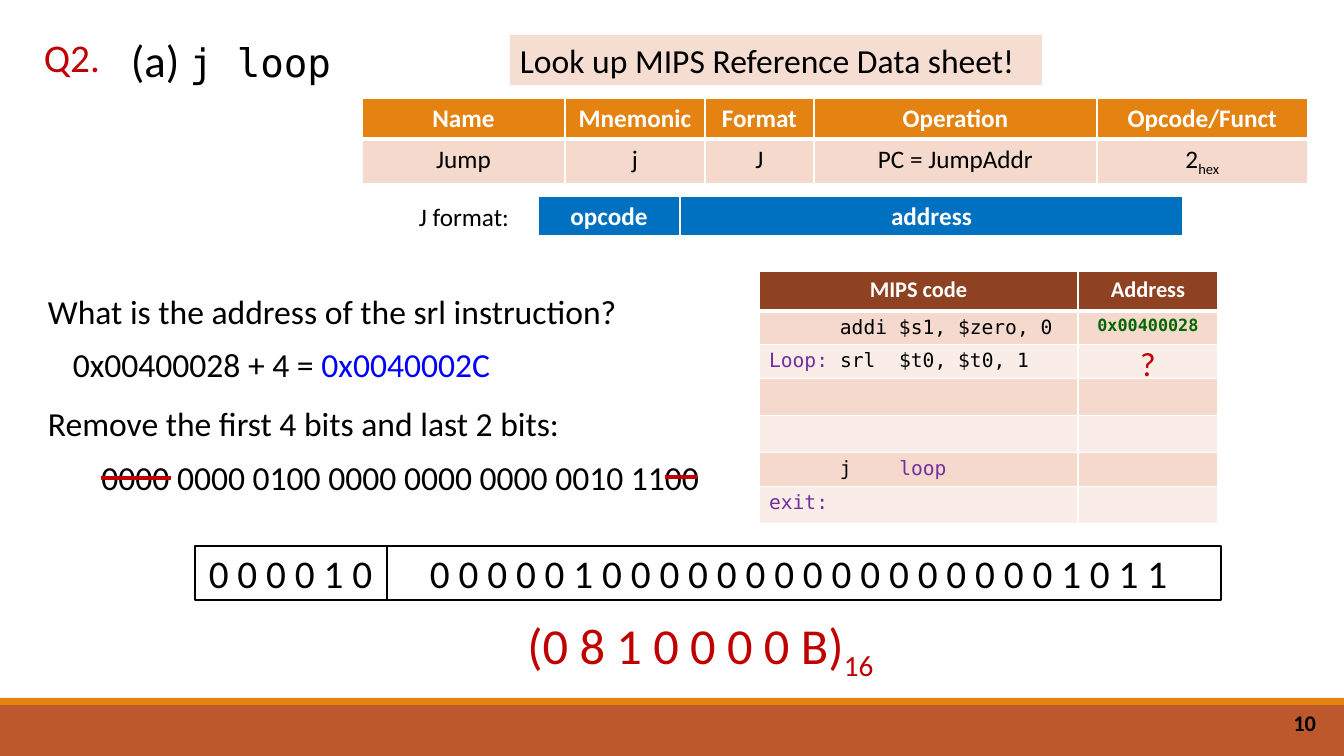
import dataclasses

import lxml.etree
import pptx
import pptx.dml.color
import pptx.enum.shapes
import pptx.enum.text
import pptx.oxml.ns
import pptx.util

EMU_PER_PX = 914400 / 100.8
ALIGN = pptx.enum.text.PP_ALIGN
ANCHOR = pptx.enum.text.MSO_ANCHOR


@dataclasses.dataclass(frozen=True)
class Theme:
    sans: str = "Calibri"
    mono: str = "DejaVu Sans Mono"
    black: str = "000000"
    white: str = "FFFFFF"
    red: str = "C00000"
    blue: str = "0000FF"
    green: str = "006600"
    purple: str = "7030A0"
    orange: str = "E48312"
    rust: str = "BD582C"
    brown: str = "8E4221"
    format_blue: str = "0070C0"
    note: str = "F5DDD2"
    band_dark: str = "F5D9CC"
    band_light: str = "FAEDE7"
    tiny: int = 12
    code: int = 14
    small: int = 16
    table: int = 18
    body: int = 24
    heading: int = 28
    label: int = 32
    answer: int = 36


THEME = Theme()


def px(length):
    return pptx.util.Emu(round(length * EMU_PER_PX))


def rgb(value):
    return pptx.dml.color.RGBColor.from_string(value)


def span(text, size=THEME.body, color=THEME.black, font=THEME.sans, bold=False, subscript=False):
    return text, size, color, font, bold, subscript


def code(text, color=THEME.black):
    return span(text, THEME.code, color, THEME.mono)


def write(text_frame, spans, align=ALIGN.LEFT):
    paragraph = text_frame.paragraphs[0]
    paragraph.alignment = align
    for text, size, color, font, bold, subscript in spans:
        run = paragraph.add_run()
        run.text = text
        run.font.size = pptx.util.Pt(size)
        run.font.color.rgb = rgb(color)
        run.font.name = font
        run.font.bold = bold
        if subscript:
            run._r.get_or_add_rPr().set("baseline", "-25000")


def add_text(slide, box, spans, align=ALIGN.LEFT, anchor=ANCHOR.TOP):
    shape = slide.shapes.add_textbox(*map(px, box))
    shape.text_frame.word_wrap = True
    shape.text_frame.vertical_anchor = anchor
    write(shape.text_frame, spans, align)


def add_box(slide, box, fill=None, line=None):
    shape = slide.shapes.add_shape(pptx.enum.shapes.MSO_SHAPE.RECTANGLE, *map(px, box))
    shape.shadow.inherit = False
    if fill:
        shape.fill.solid()
        shape.fill.fore_color.rgb = rgb(fill)
    else:
        shape.fill.background()
    if line:
        shape.line.color.rgb = rgb(line)
        shape.line.width = pptx.util.Pt(1.25)
    else:
        shape.line.fill.background()


def add_strike(slide, left, top, width):
    line = slide.shapes.add_connector(
        pptx.enum.shapes.MSO_CONNECTOR.STRAIGHT, px(left), px(top), px(left + width), px(top))
    line.line.color.rgb = rgb(THEME.red)
    line.line.width = pptx.util.Pt(2.25)
    lxml.etree.SubElement(line._element.spPr, pptx.oxml.ns.qn("a:effectLst"))


def add_borders(cell, row):
    properties = cell._tc.get_or_add_tcPr()
    widths = {"lnL": 1, "lnR": 1, "lnT": 3 if row == 1 else 1, "lnB": 3 if row == 0 else 1}
    for side, width in widths.items():
        border = lxml.etree.SubElement(
            properties, pptx.oxml.ns.qn("a:" + side), w=str(pptx.util.Pt(width)))
        fill = lxml.etree.SubElement(border, pptx.oxml.ns.qn("a:solidFill"))
        lxml.etree.SubElement(fill, pptx.oxml.ns.qn("a:srgbClr"), val=THEME.white)


def add_grid(slide, left, top, columns, heights, header_fill, rows, code_column=None):
    box = (left, top, sum(columns), sum(heights))
    table = slide.shapes.add_table(len(heights), len(columns), *map(px, box)).table
    for column, width in zip(table.columns, columns):
        column.width = px(width)
    for row, height in zip(table.rows, heights):
        row.height = px(height)
    for row, cells in enumerate(rows):
        for column, spans in enumerate(cells):
            cell = table.cell(row, column)
            add_borders(cell, row)
            band = THEME.band_dark if row % 2 else THEME.band_light
            cell.fill.solid()
            cell.fill.fore_color.rgb = rgb(band if row else header_fill)
            is_code = row > 0 and column == code_column
            write(cell.text_frame, spans, ALIGN.LEFT if is_code else ALIGN.CENTER)
            if not spans:
                lxml.etree.SubElement(
                    cell.text_frame.paragraphs[0]._p, pptx.oxml.ns.qn("a:endParaRPr"),
                    sz=str(THEME.tiny * 100))


def header(titles, size=THEME.table):
    return [[span(title, size, THEME.white, bold=True)] for title in titles]


def add_footer(slide, left, top, width, height):
    add_box(slide, (left, top + 7, width, height - 7), THEME.rust)
    add_box(slide, (left, top, width, 7), THEME.orange)
    add_text(slide, (left + width - 320, top + 5, 302, 40),
             [span("10", THEME.small, bold=True)], ALIGN.RIGHT, ANCHOR.MIDDLE)


def add_question(slide, left, top):
    add_text(slide, (left, top, 100, 57),
             [span("Q2.", THEME.heading, THEME.red)], ALIGN.CENTER)
    add_text(slide, (left + 99, top, 449, 65),
             [span("(a) ", THEME.label), span("j loop", THEME.heading, font=THEME.mono)])


def add_reference(slide, left, top):
    note = (left + 148, top, 532, 50)
    add_box(slide, note, THEME.note)
    add_text(slide, note, [span("Look up MIPS Reference Data sheet!")])
    values = [[span(text, THEME.table)] for text in ("Jump", "j", "J", "PC = JumpAddr", "2")]
    values[-1].append(span("hex", THEME.table, subscript=True))
    titles = ("Name", "Mnemonic", "Format", "Operation", "Opcode/Funct")
    add_grid(slide, left, top + 63, (203, 140, 109, 283, 211), (41, 45),
             THEME.orange, [header(titles), values])
    add_text(slide, (left + 47, top + 161, 129, 40), [span("J format:", THEME.table)])
    add_grid(slide, left + 176, top + 161, (142, 503), (41,),
             THEME.format_blue, [header(("opcode", "address"))])


def add_working(slide, left, top):
    add_text(slide, (left, top, 599, 50), [span("What is the address of the srl instruction?")])
    add_text(slide, (left, top + 53, 487, 50),
             [span("0x00400028 + 4 = "), span("0x0040002C", color=THEME.blue)], ALIGN.CENTER)
    add_text(slide, (left, top + 112, 643, 50), [span("Remove the first 4 bits and last 2 bits:")])
    add_text(slide, (left + 33, top + 166, 659, 50),
             [span("0000 0000 0100 0000 0000 0000 0010 1100")], ALIGN.CENTER)
    add_strike(slide, left + 63, top + 192, 70)
    add_strike(slide, left + 627, top + 191, 32)


def add_program(slide, left, top):
    rows = [
        header(("MIPS code", "Address"), THEME.small),
        [[code("      addi $s1, $zero, 0")],
         [span("0x00400028", THEME.tiny, THEME.green, THEME.mono, True)]],
        [[code("Loop: ", THEME.purple), code("srl  $t0, $t0, 1")], []],
        [[], []],
        [[], []],
        [[code("      j    "), code("loop", THEME.purple)], []],
        [[code("exit:", THEME.purple)], []],
    ]
    add_grid(slide, left, top, (319, 140), (40, 33, 34, 37, 37, 33, 37),
             THEME.brown, rows, code_column=0)
    add_text(slide, (left + 359, top + 67, 60, 50),
             [span("?", color=THEME.red)], ALIGN.CENTER)


def add_encoding(slide, left, top):
    fields = (
        (0, 192, -1, 193, "0 0 0 0 1 0"),
        (192, 834, 198, 811, "0 0 0 0 0 1 0 0 0 0 0 0 0 0 0 0 0 0 0 0 0 0 1 0 1 1"),
    )
    for offset, width, text_offset, text_width, bits in fields:
        add_box(slide, (left + offset, top, width, 54), line=THEME.black)
        add_text(slide, (left + text_offset, top - 2, text_width, 57),
                 [span(bits, THEME.heading)], ALIGN.CENTER)
    add_text(slide, (left + 272, top + 63, 467, 72),
             [span("(0 8 1 0 0 0 0 B)", THEME.answer, THEME.red),
              span("16", THEME.answer, THEME.red, subscript=True)], ALIGN.CENTER)


def main():
    presentation = pptx.Presentation()
    presentation.slide_width = px(1344)
    presentation.slide_height = px(756)
    slide = presentation.slides.add_slide(presentation.slide_layouts[6])
    add_footer(slide, 0, 698, 1344, 58)
    add_question(slide, 22, 28)
    add_reference(slide, 362, 35)
    add_working(slide, 38, 286)
    add_program(slide, 759, 271)
    add_encoding(slide, 195, 546)
    presentation.save("out.pptx")


if __name__ == "__main__":
    main()
